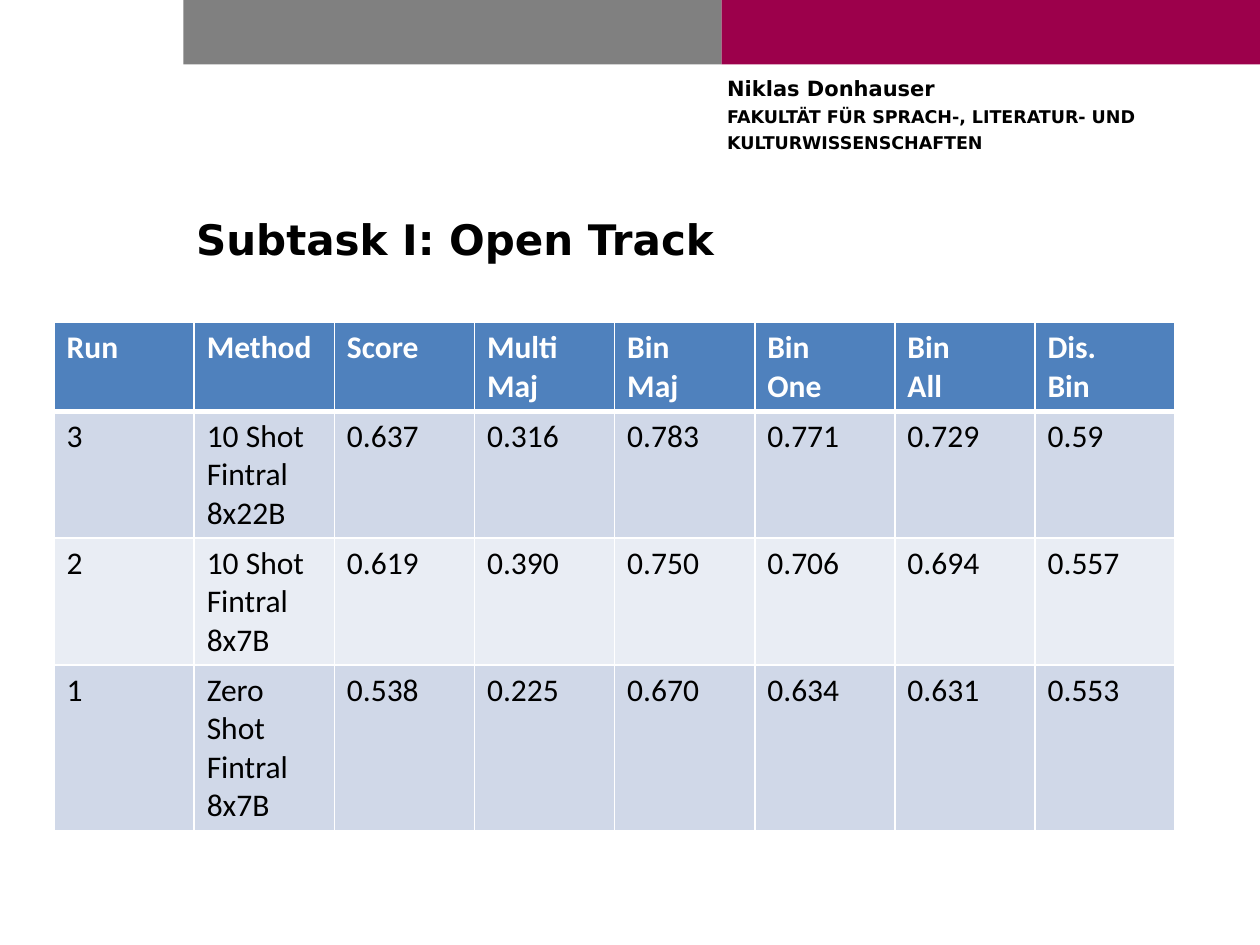
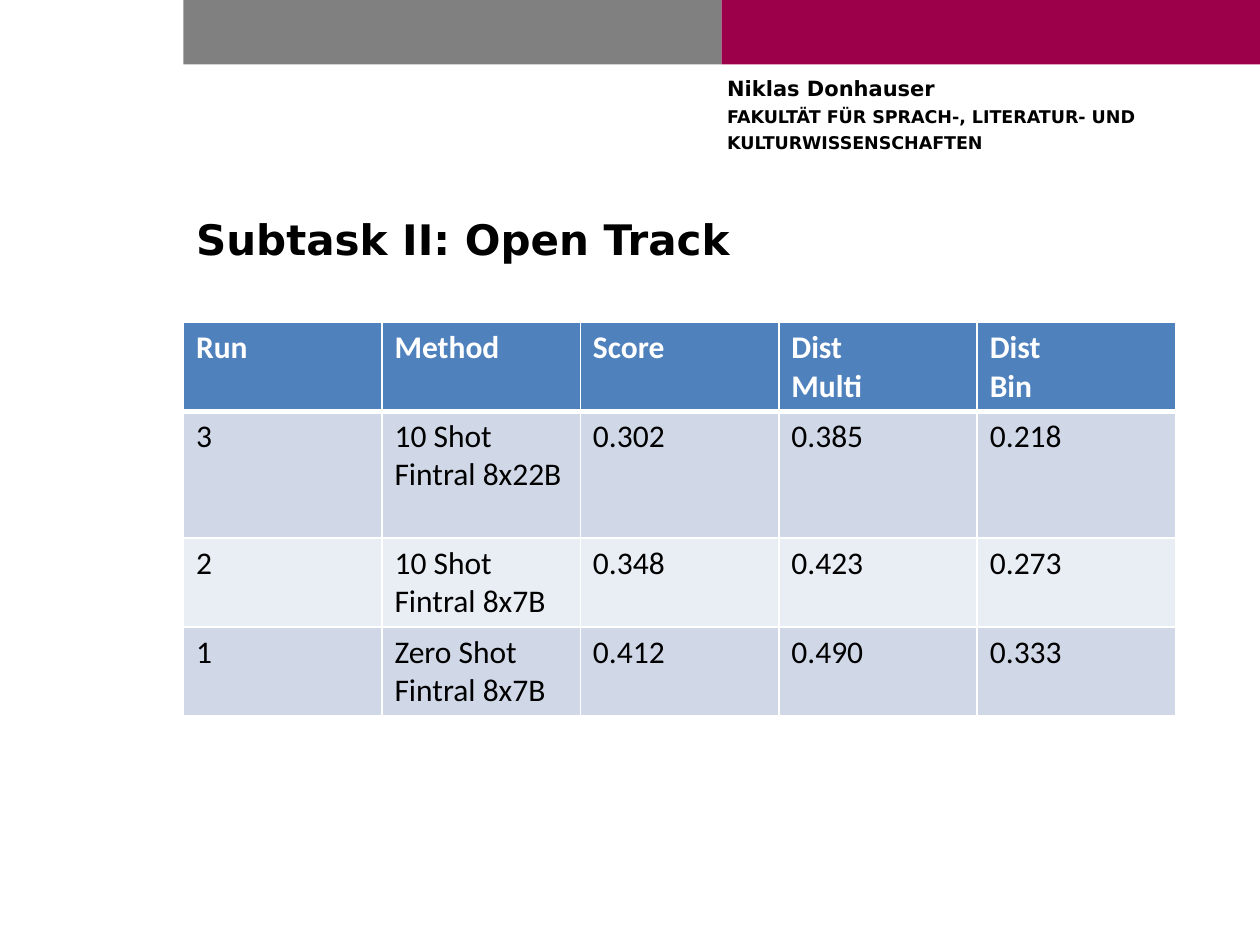
from dataclasses import dataclass

from lxml import etree
from pptx import Presentation
from pptx import util as u
from pptx.dml.color import RGBColor
from pptx.enum import shapes, text
from pptx.oxml import ns

COLORS = {
    "gray": "808080",
    "crimson": "9C004B",
    "header": "4F81BD",
    "row_dark": "D0D8E8",
    "row_light": "E9EDF4",
    "black": "000000",
    "white": "FFFFFF",
}
HEADING_FONT = "DejaVu Sans"
TABLE_FONT = "Calibri"
TITLE_ONLY = 5


@dataclass
class Box:
    """A rectangle in centimetres."""

    left: float
    top: float
    width: float
    height: float = 0

    def lengths(self):
        """Return left, top, width and height as slide lengths."""
        return [u.Cm(value) for value in (self.left, self.top, self.width, self.height)]


BANDS = Box(3.7, 0, 21.7, 1.3)
AUTHOR = Box(14.66, 1.52, 10.26, 2.39)
TITLE = Box(3.7, 4.17, 19.96, 1.93)

AUTHOR_LINES = [
    ("Niklas Donhauser", 12),
    ("FAKULTÄT FÜR SPRACH-, LITERATUR- UND", 10),
    ("KULTURWISSENSCHAFTEN", 10),
]

RESULTS = [
    {
        "title": "Subtask I: Open Track",
        "box": Box(1.09, 6.5, 22.6),
        "line_counts": [2, 3, 3, 4],
        "rows": [
            ["Run", "Method", "Score", "Multi\nMaj", "Bin\nMaj", "Bin\nOne", "Bin\nAll", "Dis.\nBin"],
            ["3", "10 Shot Fintral 8x22B", "0.637", "0.316", "0.783", "0.771", "0.729", "0.59"],
            ["2", "10 Shot\nFintral\n8x7B", "0.619", "0.390", "0.750", "0.706", "0.694", "0.557"],
            ["1", "Zero Shot\nFintral\n8x7B", "0.538", "0.225", "0.670", "0.634", "0.631", "0.553"],
        ],
    },
    {
        "title": "Subtask II: Open Track",
        "box": Box(3.7, 6.5, 20),
        "line_counts": [2, 3, 2, 2],
        "rows": [
            ["Run", "Method", "Score", "Dist\nMulti", "Dist\nBin"],
            ["3", "10 Shot Fintral 8x22B", "0.302", "0.385", "0.218"],
            ["2", "10 Shot Fintral 8x7B", "0.348", "0.423", "0.273"],
            ["1", "Zero Shot\nFintral 8x7B", "0.412", "0.490", "0.333"],
        ],
    },
]


def color(name):
    """Look up a named colour."""
    return RGBColor.from_string(COLORS[name])


def add_run(paragraph, wording, size, font_name, color_name, bold):
    """Append a formatted run to a paragraph."""
    run = paragraph.add_run()
    run.text = wording
    run.font.size = u.Pt(size)
    run.font.name = font_name
    run.font.bold = bold
    run.font.color.rgb = color(color_name)


def next_paragraph(frame, index):
    """Return the first paragraph of a frame, or a new one after it."""
    return frame.add_paragraph() if index else frame.paragraphs[0]


def add_bands(slide, box):
    """Split the box into a gray and a crimson band."""
    width = box.width / 2
    for index, name in enumerate(("gray", "crimson")):
        band = Box(box.left + index * width, box.top, width, box.height)
        shape = slide.shapes.add_shape(shapes.MSO_SHAPE.RECTANGLE, *band.lengths())
        shape.shadow.inherit = False
        shape.fill.solid()
        shape.fill.fore_color.rgb = color(name)
        shape.line.fill.background()


def add_author(slide, box):
    """Write the author and faculty into the box."""
    frame = slide.shapes.add_textbox(*box.lengths()).text_frame
    frame.word_wrap = True
    frame.margin_left = frame.margin_top = frame.margin_right = frame.margin_bottom = 0
    for index, (wording, size) in enumerate(AUTHOR_LINES):
        paragraph = next_paragraph(frame, index)
        paragraph.space_after = u.Pt(3)
        add_run(paragraph, wording, size, HEADING_FONT, "black", True)


def set_title(slide, wording, box):
    """Place the title placeholder in the box and fill it."""
    title = slide.shapes.title
    title.left, title.top, title.width, title.height = box.lengths()
    frame = title.text_frame
    frame.word_wrap = True
    frame.auto_size = text.MSO_AUTO_SIZE.NONE
    frame.vertical_anchor = text.MSO_ANCHOR.TOP
    paragraph = frame.paragraphs[0]
    paragraph.alignment = text.PP_ALIGN.LEFT
    add_run(paragraph, wording, 24, HEADING_FONT, "black", True)


def set_borders(cell, top, bottom):
    """Give a cell white borders with the top and bottom widths in points."""
    properties = cell._tc.get_or_add_tcPr()
    for tag, width in (("a:lnL", 1), ("a:lnR", 1), ("a:lnT", top), ("a:lnB", bottom)):
        line = etree.SubElement(properties, ns.qn(tag), w=str(u.Pt(width)))
        fill = etree.SubElement(line, ns.qn("a:solidFill"))
        etree.SubElement(fill, ns.qn("a:srgbClr"), val=COLORS["white"])


def fill_cell(cell, wording, row_index):
    """Write and format one cell according to its row."""
    is_header = row_index == 0
    set_borders(cell, 3 if row_index == 1 else 1, 3 if is_header else 1)
    cell.fill.solid()
    band = "row_dark" if row_index % 2 else "row_light"
    cell.fill.fore_color.rgb = color("header" if is_header else band)
    for index, line in enumerate(wording.split("\n")):
        paragraph = next_paragraph(cell.text_frame, index)
        add_run(paragraph, line, 18, TABLE_FONT, "white" if is_header else "black", is_header)


def add_results_table(slide, rows, line_counts, box):
    """Fill the width of the box with a table of equal columns."""
    table = slide.shapes.add_table(len(rows), len(rows[0]), *box.lengths()).table
    for row_index, (wordings, line_count) in enumerate(zip(rows, line_counts)):
        table.rows[row_index].height = u.Cm(0.25 + 0.77 * line_count)
        for column_index, wording in enumerate(wordings):
            fill_cell(table.cell(row_index, column_index), wording, row_index)


def add_results_slide(presentation, result):
    """Add a slide with the shared header, a title and a results table."""
    slide = presentation.slides.add_slide(presentation.slide_layouts[TITLE_ONLY])
    add_bands(slide, BANDS)
    add_author(slide, AUTHOR)
    set_title(slide, result["title"], TITLE)
    add_results_table(slide, result["rows"], result["line_counts"], result["box"])


def main():
    """Build and save the presentation."""
    presentation = Presentation()
    presentation.slide_width, presentation.slide_height = u.Cm(25.4), u.Cm(19.05)
    for result in RESULTS:
        add_results_slide(presentation, result)
    presentation.save("out.pptx")


if __name__ == "__main__":
    main()
